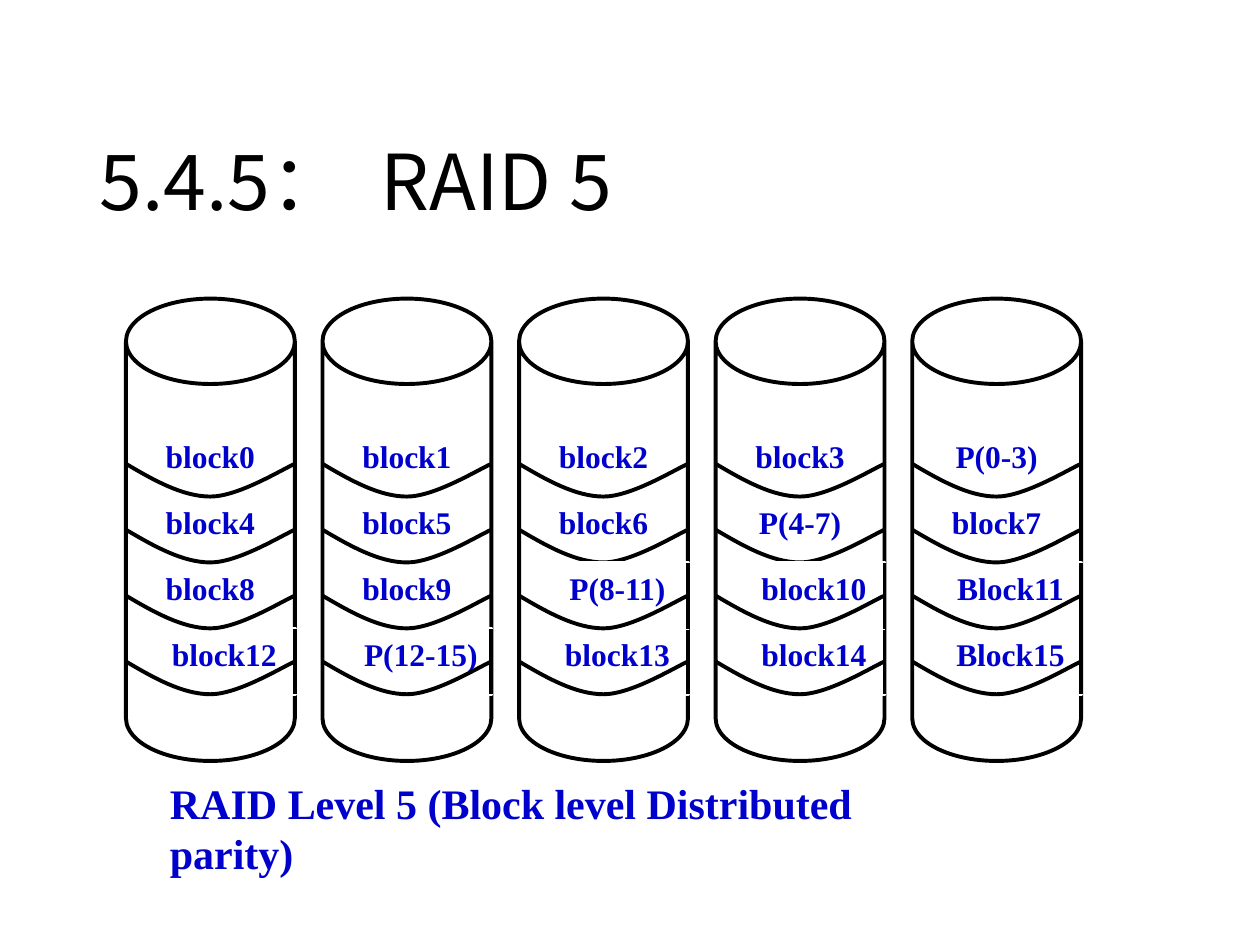
from lxml import etree
from pptx import Presentation
from pptx import util as u
from pptx.dml.color import RGBColor
from pptx.enum import shapes, text
from pptx.oxml import ns

COLORS = {"paper": "FFFFFF", "ink": "000000", "label": "0000CC"}
LATIN, CJK = "Times New Roman", "Noto Sans CJK SC"
STRIPES = [
    ["block0", "block1", "block2", "block3", "P(0-3)"],
    ["block4", "block5", "block6", "P(4-7)", "block7"],
    ["block8", "block9", "P(8-11)", "block10", "Block11"],
    ["block12", "P(12-15)", "block13", "block14", "Block15"],
]
DISK_LEFT, DISK_TOP, DISK_WIDTH, DISK_HEIGHT = 1, 2.37, 1.34, 3.67
DISK_PITCH = 1.56
STRIPE_TOP, STRIPE_HEIGHT = 3.42, 0.523
LABEL_INDENT = 0.22
ARC = [(0.22, 0.13), (0.45, 0.26), (0.67, 0.26),
       (0.89, 0.26), (1.23, 0.05), (1.34, 0)]


def rgb(name):
    return RGBColor.from_string(COLORS[name])


def style_font(run, size, font, color, bold=False):
    run.font.size = u.Pt(size)
    run.font.name = font
    run.font.bold = bold
    run.font.color.rgb = rgb(color)


def style_line(shape, color):
    shape.line.color.rgb = rgb(color)
    shape.line.width = u.Pt(2.25)


def add_box(parent, kind, left, top, width, height, line):
    box = parent.add_shape(kind, u.Inches(left), u.Inches(top),
                           u.Inches(width), u.Inches(height))
    box.shadow.inherit = False
    box.fill.solid()
    box.fill.fore_color.rgb = rgb("paper")
    style_line(box, line)
    return box


def add_label(parent, left, top, width, wording):
    label = add_box(parent, shapes.MSO_SHAPE.RECTANGLE, left, top, width,
                    STRIPE_HEIGHT, "paper")
    frame = label.text_frame
    frame.text = wording
    frame.word_wrap = True
    frame.margin_left = frame.margin_right = 0
    frame.vertical_anchor = text.MSO_ANCHOR.TOP
    frame.paragraphs[0].alignment = text.PP_ALIGN.CENTER
    style_font(frame.paragraphs[0].runs[0], 18, LATIN, "label", True)


def add_arc(parent, left, top):
    builder = parent.build_freeform(u.Inches(left), u.Inches(top))
    builder.add_line_segments([(u.Inches(left + x), u.Inches(top + y)) for x, y in ARC],
                              close=False)
    arc = builder.convert_to_shape()
    segments = list(arc._element.iter(ns.qn("a:lnTo")))
    outline = segments[0].getparent()
    for start in range(0, len(segments), 3):
        curve = etree.SubElement(outline, ns.qn("a:cubicBezTo"))
        for segment in segments[start:start + 3]:
            curve.append(segment[0])
            outline.remove(segment)
    arc.shadow.inherit = False
    arc.fill.background()
    style_line(arc, "ink")


def add_edge(parent, x, top):
    edge = parent.add_connector(shapes.MSO_CONNECTOR.STRAIGHT, u.Inches(x), u.Inches(top),
                                u.Inches(x), u.Inches(top + STRIPE_HEIGHT))
    style_line(edge, "ink")
    etree.SubElement(edge._element.spPr, ns.qn("a:effectLst"))


def add_disk(parent, column):
    left = DISK_LEFT + column * DISK_PITCH
    disk = add_box(parent, shapes.MSO_SHAPE.CAN, left, DISK_TOP,
                   DISK_WIDTH, DISK_HEIGHT, "ink")
    disk.adjustments[0] = 0.506
    stripe_groups = [(0, 1, 3), (2,)] if column in (2, 3) else [(0, 1, 2, 3)]
    for rows in stripe_groups:
        tops = {row: STRIPE_TOP + row * STRIPE_HEIGHT for row in rows}
        wide_rows = [row for row in rows if row == 3 or (row == 2 and column >= 2)]
        for row, top in tops.items():
            width = DISK_WIDTH - LABEL_INDENT * (1 if row in wide_rows else 2)
            add_label(parent, left + LABEL_INDENT, top, width, STRIPES[row][column])
        for top in tops.values():
            add_arc(parent, left, top + STRIPE_HEIGHT / 2)
        for row in wide_rows:
            add_edge(parent, left + DISK_WIDTH, tops[row])


def add_text(slide, left, top, width, height, wording):
    box = slide.shapes.add_textbox(u.Inches(left), u.Inches(top),
                                   u.Inches(width), u.Inches(height))
    box.text_frame.word_wrap = True
    box.text_frame.text = wording
    return box.text_frame


def add_title(slide):
    frame = add_text(slide, 0.69, 0.4, 8.62, 1.45, "5.4.5")
    frame.vertical_anchor = text.MSO_ANCHOR.BOTTOM
    heading = frame.paragraphs[0]
    heading.line_spacing = 0.9
    colon, name = heading.add_run(), heading.add_run()
    colon.text, name.text = "：", "RAID 5"
    for run in heading.runs:
        style_font(run, 44, CJK, "ink")
        etree.SubElement(run.font._element, ns.qn("a:ea"), typeface=CJK)
    colon.font._element.set("spc", "1900")


def add_caption(slide):
    frame = add_text(slide, 1.25, 6.12, 6.58, 0.5,
                     "RAID Level 5 (Block level Distributed parity)")
    frame.auto_size = text.MSO_AUTO_SIZE.SHAPE_TO_FIT_TEXT
    caption = frame.paragraphs[0]
    space_before = etree.SubElement(caption._p.get_or_add_pPr(), ns.qn("a:spcBef"))
    etree.SubElement(space_before, ns.qn("a:spcPct"), val="50000")
    style_font(caption.runs[0], 24, LATIN, "label", True)


def main():
    deck = Presentation()
    deck.slide_width, deck.slide_height = u.Inches(10), u.Inches(7.5)
    slide = deck.slides.add_slide(deck.slide_layouts[6])
    add_title(slide)
    array = slide.shapes.add_group_shape().shapes
    for column in range(len(STRIPES[0])):
        add_disk(array, column)
    add_caption(slide)
    deck.save("out.pptx")


if __name__ == "__main__":
    main()
